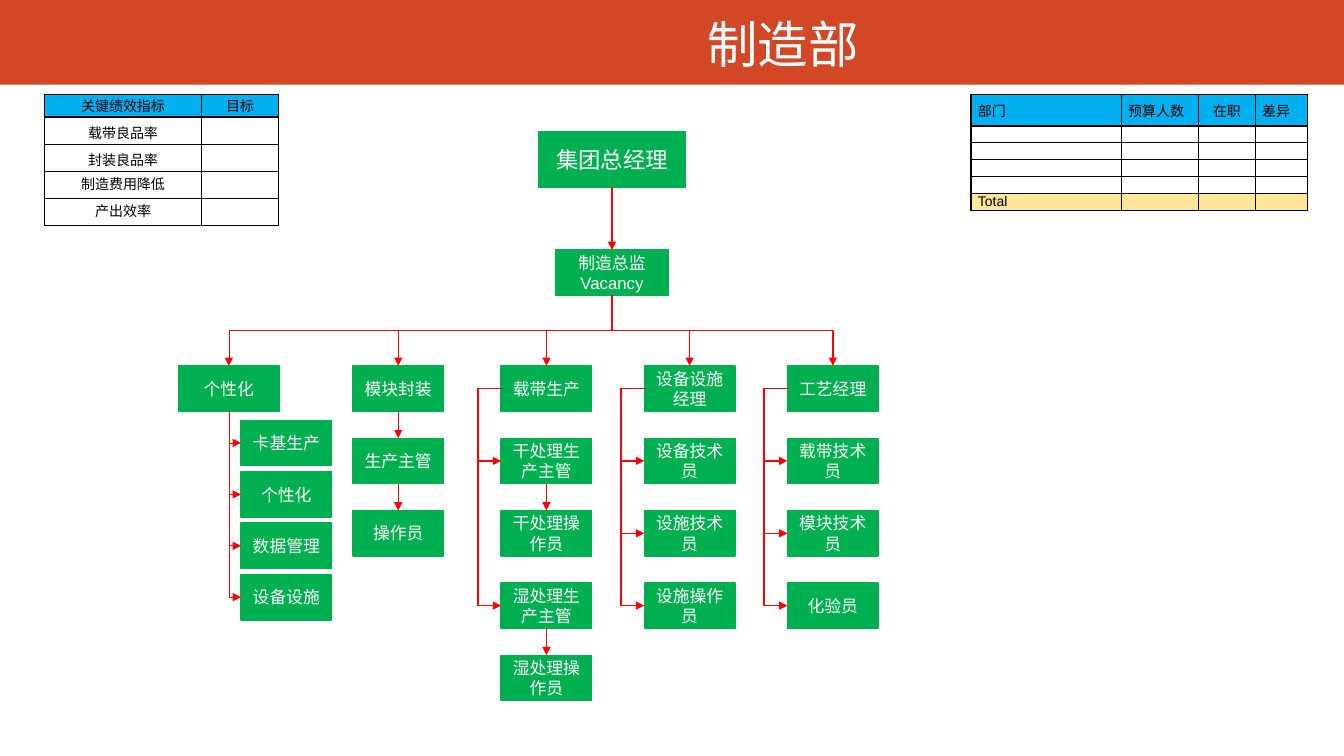
"""Build the manufacturing department organisation chart slide."""
from dataclasses import dataclass
from typing import Any

from lxml import etree
from pptx import Presentation
from pptx import util as u
from pptx.dml.color import RGBColor
from pptx.enum import shapes, text
from pptx.oxml import ns

ALIGN = text.PP_ALIGN
ANCHOR = text.MSO_ANCHOR
LINK = shapes.MSO_CONNECTOR


@dataclass(frozen=True)
class Theme:
    band: str = "D24726"
    box: str = "00B050"
    line: str = "FF0000"
    head: str = "00B0F0"
    total: str = "FFE699"
    white: str = "FFFFFF"
    black: str = "000000"
    face: str = "Arial"
    title_face: str = "Noto Sans CJK SC"
    title: int = 36
    lead: int = 16
    body: int = 12
    small: int = 10


@dataclass(frozen=True)
class Box:
    label: str
    left: float
    top: float
    width: float = 0.9
    height: float = 0.45
    size: int = 12

    @property
    def mid(self) -> float:
        return self.left + self.width / 2

    @property
    def base(self) -> float:
        return self.top + self.height

    @property
    def center(self) -> float:
        return self.top + self.height / 2


@dataclass(frozen=True)
class Team:
    left: float
    names: tuple[str, ...]
    drops: tuple[int, ...] = ()
    sides: tuple[int, ...] = ()
    weight: float = 1


@dataclass(frozen=True)
class Cell:
    label: str = ""
    fill: str = "FFFFFF"
    align: Any = ALIGN.CENTER
    pads: tuple[float, float] = (0.07, 0)
    space: float | None = None


THEME = Theme()
deck = Presentation()
deck.slide_width, deck.slide_height = u.Inches(13.33), u.Inches(7.5)
slide = deck.slides.add_slide(deck.slide_layouts[6])


def tint(code: str) -> RGBColor:
    return RGBColor.from_string(code)


def write(host: Any, frame: Any, label: str, *, size: int, color: str = THEME.white,
          face: str = THEME.face, align: Any = ALIGN.CENTER, anchor: Any = ANCHOR.MIDDLE,
          pads: tuple[float, float] = (0.1, 0.05), space: float | None = None) -> None:
    host.vertical_anchor = anchor
    host.margin_left = host.margin_right = u.Inches(pads[0])
    host.margin_top = host.margin_bottom = u.Inches(pads[1])
    for spot, line in enumerate(label.split("\n")):
        para = frame.add_paragraph() if spot else frame.paragraphs[0]
        para.alignment = align
        if space:
            para.line_spacing = space
        if not line:
            end = etree.SubElement(para._p, ns.qn("a:endParaRPr"))
            end.set("sz", str(size * 100))
            etree.SubElement(end, ns.qn("a:latin")).set("typeface", face)
            continue
        run = para.add_run()
        run.text = line
        run.font.size, run.font.name = u.Pt(size), face
        run.font.color.rgb = tint(color)


def block(box: Box, color: str) -> None:
    shape = slide.shapes.add_shape(
        shapes.MSO_SHAPE.RECTANGLE, u.Inches(box.left), u.Inches(box.top),
        u.Inches(box.width), u.Inches(box.height))
    shape.shadow.inherit = False
    shape.fill.solid()
    shape.fill.fore_color.rgb = tint(color)
    if not box.label:
        shape.line.fill.background()
        return
    shape.line.color.rgb, shape.line.width = tint(color), u.Pt(1)
    shape.text_frame.word_wrap = True
    write(shape.text_frame, shape.text_frame, box.label, size=box.size)


def arrow(start: tuple[float, float], stop: tuple[float, float], *, weight: float = 1,
          turn: int = 0, flip: str = "", kind: str = "", bend: float | None = None) -> None:
    wide, high = abs(stop[0] - start[0]), abs(stop[1] - start[1])
    if turn in (90, 270):
        wide, high = high, wide
    left = (start[0] + stop[0] - wide) / 2
    top = (start[1] + stop[1] - high) / 2
    link = slide.shapes.add_connector(
        LINK.ELBOW if kind else LINK.STRAIGHT, u.Inches(left), u.Inches(top),
        u.Inches(left + wide), u.Inches(top + high))
    link.line.color.rgb, link.line.width = tint(THEME.line), u.Pt(weight)
    props = link._element.spPr
    frame, shape = props.find(ns.qn("a:xfrm")), props.find(ns.qn("a:prstGeom"))
    if kind:
        shape.set("prst", kind)
        frame.set("rot", str(turn * 60000))
    if flip:
        frame.set(flip, "1")
    if bend is not None:
        guide = etree.SubElement(shape.find(ns.qn("a:avLst")), ns.qn("a:gd"))
        guide.set("name", "adj1")
        guide.set("fmla", f"val {round(bend * 100000)}")
    etree.SubElement(props.find(ns.qn("a:ln")), ns.qn("a:tailEnd")).set("type", "triangle")
    etree.SubElement(props, ns.qn("a:effectLst"))


def branch(top: Box, low: Box, weight: float) -> None:
    right = low.mid > top.mid
    arrow((top.mid, top.base), (low.mid, low.top), weight=weight,
          turn=270 if right else 90, flip="flipH" if right else "", kind="bentConnector3")


def drop(top: Box, low: Box) -> None:
    arrow((top.mid, top.base), (low.mid, low.top))


def grid(left: float, top: float, cols: list[float], rows: list[float],
         cells: list[list[Cell]]) -> None:
    table = slide.shapes.add_table(
        len(rows), len(cols), u.Inches(left), u.Inches(top),
        u.Inches(sum(cols)), u.Inches(sum(rows))).table
    table.first_row = table.horz_banding = False
    for col, width in zip(table.columns, cols):
        col.width = u.Inches(width)
    for row, height, items in zip(table.rows, rows, cells):
        row.height = u.Inches(height)
        for cell, item in zip(row.cells, items):
            write(cell, cell.text_frame, item.label, size=THEME.small, color=THEME.black,
                  align=item.align, pads=item.pads, space=item.space)
            props = cell._tc.get_or_add_tcPr()
            for side in ("lnL", "lnR", "lnT", "lnB"):
                edge = etree.SubElement(props, ns.qn(f"a:{side}"), w=str(u.Pt(1)))
                fill = etree.SubElement(edge, ns.qn("a:solidFill"))
                etree.SubElement(fill, ns.qn("a:srgbClr")).set("val", THEME.black)
            cell.fill.solid()
            cell.fill.fore_color.rgb = tint(item.fill)


block(Box("", 0, 0, 13.33, 0.84), THEME.band)
title = slide.shapes.add_textbox(*map(u.Inches, (2.23, 0.05, 11.07, 0.73))).text_frame
title.word_wrap = True
write(title, title, "制造部", size=THEME.title, face=THEME.title_face, anchor=ANCHOR.BOTTOM)

TOP, STEP = 3.63, (6.5 - 3.63) / 4
chief = Box("集团总经理", 5.34, 1.31, 1.46, 0.55, THEME.lead)
head = Box("制造总监\nVacancy", 5.51, 2.48, 1.12)
card = Box("个性化", 1.77, TOP, 1)
units = [Box(name, 2.39, 4.17 + 0.51 * row)
         for row, name in enumerate(("卡基生产", "个性化", "数据管理", "设备设施"))]
teams = (
    Team(3.5, ("模块封装", "生产主管", "操作员"), drops=(0, 1)),
    Team(4.97, ("载带生产", "干处理生产主管", "干处理操作员", "湿处理生产主管", "湿处理操作员"),
         drops=(1, 3), sides=(1, 3)),
    Team(6.39, ("设备设施经理", "设备技术员", "设施技术员", "设施操作员"),
         sides=(1, 2, 3), weight=0.5),
    Team(7.81, ("工艺经理", "载带技术员", "模块技术员", "化验员"), sides=(1, 2, 3)),
)

for box in (chief, head, card, *units):
    block(box, THEME.box)
drop(chief, head)
branch(head, card, 0.5)
for unit in units:
    arrow((card.mid, card.base), (unit.left, unit.center), weight=0.5,
          turn=270, flip="flipH", kind="bentConnector2")
for team in teams:
    boxes = [Box(name, team.left, TOP + STEP * row) for row, name in enumerate(team.names)]
    for box in boxes:
        block(box, THEME.box)
    branch(head, boxes[0], team.weight)
    for row in team.drops:
        drop(boxes[row], boxes[row + 1])
    for row in team.sides:
        arrow((team.left + 0.02, boxes[0].center), (team.left, boxes[row].center),
              turn=180, flip="flipV", kind="bentConnector3", bend=12.5)

goals = [[Cell(name, THEME.head) for name in ("关键绩效指标", "目标")]]
for name, space in (("载带良品率", None), ("封装良品率", None),
                    ("制造费用降低", 0.7), ("产出效率", 0.7)):
    goals.append([Cell(name, pads=(0.1, 0.05), space=space), Cell(pads=(0.1, 0.05))])
grid(0.44, 0.94, [1.56, 0.76], [0.22, 0.27, 0.27, 0.27, 0.23], goals)

staff = [[Cell(name, THEME.head, ALIGN.CENTER if name == "在职" else ALIGN.JUSTIFY)
          for name in ("部门", "预算人数", "在职", "差异")]]
staff += [[Cell()] * 4 for _ in range(4)]
staff.append([Cell(name, THEME.total, ALIGN.JUSTIFY) for name in ("Total", "", "", "")])
grid(9.63, 0.94, [1.49, 0.77, 0.56, 0.52], [0.31] + [0.16] * 5, staff)

deck.save("out.pptx")
